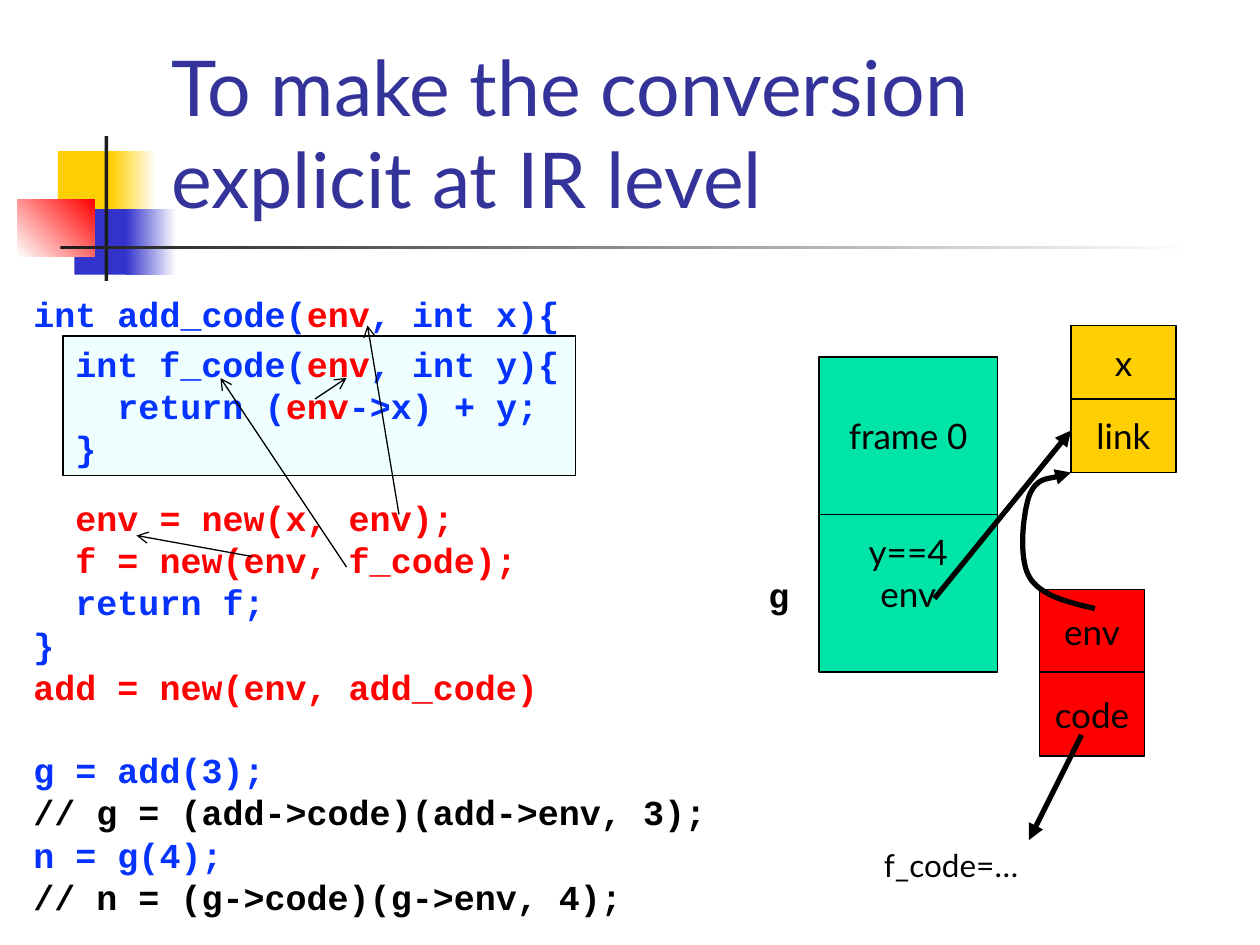
from typing import NamedTuple, Optional

import pptx
import pptx.dml.color
import pptx.enum.shapes
import pptx.enum.text
import pptx.oxml
import pptx.oxml.ns
import pptx.util
from lxml import etree

RGBColor = pptx.dml.color.RGBColor
MSO_ANCHOR = pptx.enum.text.MSO_ANCHOR
PP_ALIGN = pptx.enum.text.PP_ALIGN
qn = pptx.oxml.ns.qn

YELLOW = RGBColor(0xFF, 0xCF, 0x01)
BLUE = RGBColor(0x33, 0x33, 0xCC)
NAVY = RGBColor(0x33, 0x33, 0x99)
RED = RGBColor(0xFF, 0x00, 0x00)
GREEN = RGBColor(0x00, 0xE4, 0xA8)
CODE_BLUE = RGBColor(0x04, 0x32, 0xFF)
PALE = RGBColor(0xCC, 0xFF, 0xFF)
DARK = RGBColor(0x1C, 0x1C, 0x1C)
BLACK = RGBColor(0, 0, 0)
WHITE = RGBColor(0xFF, 0xFF, 0xFF)

SANS, MONO = "Lato", "Courier New"
COLS, ROWS = 120, 90
CELL = pptx.util.Inches(10) // COLS
LINE_GAP, LINE_PITCH = 5, 23.1  # points


class Area(NamedTuple):
    """Left, top, width and height in grid cells."""
    col: float
    row: float
    cols: float
    rows: float


class Block(NamedTuple):
    area: Area
    start: RGBColor
    end: Optional[RGBColor] = None
    angle: float = 0


class Cell(NamedTuple):
    area: Area
    fill: RGBColor
    text: str
    lift: float = 0.05  # bottom inset, inches


class Arrow(NamedTuple):
    start: tuple[float, float]
    end: tuple[float, float]
    weight: float = 0.75
    head: str = "arrow"


class CodeLine(NamedTuple):
    runs: list[tuple[str, RGBColor]]
    skipped: int = 0  # empty lines above


DECORATION = [
    Block(Area(5.52, 14.4, 5.76, 6.24), YELLOW),
    Block(Area(10.56, 14.4, 4.32, 6.24), YELLOW, WHITE),
    Block(Area(7.08, 19.92, 5.52, 6.24), BLUE),
    Block(Area(12, 19.92, 4.8, 6.24), BLUE, WHITE),
    Block(Area(1.68, 18.96, 7.32, 5.52), WHITE, RED, 45),
    Block(Area(9.96, 12.96, 0.36, 13.8), DARK),
    Block(Area(5.76, 23.4, 108, 0.36), DARK, WHITE),
]
MEMORY = [
    Cell(Area(78, 34, 17, 15), GREEN, "frame 0"),
    Cell(Area(78, 49, 17, 15), GREEN, "y==4\nenv", 0.38),
    Cell(Area(102, 31, 10, 7), YELLOW, "x"),
    Cell(Area(102, 38, 10, 7), YELLOW, "link"),
    Cell(Area(99, 56.16, 10, 8), RED, "env"),
    Cell(Area(99, 64, 10, 8), RED, "code"),
]
ARROWS = [
    Arrow((89, 57), (102, 41), 3, "triangle"),
    Arrow((103, 70), (98, 80), 3, "triangle"),
    Arrow((30, 38), (33, 36)),
    Arrow((33, 54), (21, 36)),
    Arrow((38, 49), (35, 31)),
    Arrow((24, 53), (13, 51)),
]
ENV_CURVE = [
    (104.28, 57.96), (101.76, 57.36), (99.12, 56.76), (98.04, 54.96),
    (96.96, 53.16), (97.44, 48.84), (98.04, 47.16),
    (98.76, 45.48), (101.28, 45.36), (102, 45),
]
OUTER_CODE = [
    CodeLine([("int add_code(", CODE_BLUE), ("env", RED), (", int x){", CODE_BLUE)]),
    CodeLine([("  env = new(x, env);", RED)], 4),
    CodeLine([("  f = new(env, f_code);", RED)]),
    CodeLine([("  return f;", CODE_BLUE)]),
    CodeLine([("}", CODE_BLUE)]),
    CodeLine([("add = new(env, add_code)", RED)]),
    CodeLine([("g = add(3);", CODE_BLUE)], 1),
    CodeLine([("// g = (add->code)(add->env, 3);", BLACK)]),
    CodeLine([("n = g(4);", CODE_BLUE)]),
    CodeLine([("// n = (g->code)(g->env, 4);", BLACK)]),
]
INNER_CODE = [
    CodeLine([("int f_code(", CODE_BLUE), ("env", RED), (", int y){", CODE_BLUE)]),
    CodeLine([("  return (", CODE_BLUE), ("env", RED), ("->x) + y;", CODE_BLUE)]),
    CodeLine([("}", CODE_BLUE)]),
]


def emu(*cells: float) -> list[int]:
    return [round(c * CELL) for c in cells]


def style(font, name: str, size: float, color: RGBColor, bold: bool = False) -> None:
    font.name, font.size, font.bold = name, pptx.util.Pt(size), bold
    font.color.rgb = color


def add_rect(slide, area: Area, fill: RGBColor, outlined: bool = True):
    s = slide.shapes.add_shape(pptx.enum.shapes.MSO_SHAPE.RECTANGLE, *emu(*area))
    s.shadow.inherit = False
    s.fill.solid()
    s.fill.fore_color.rgb = fill
    if outlined:
        s.line.color.rgb = BLACK
        s.line.width = pptx.util.Pt(0.75)
    else:
        s.line.fill.background()
    return s


def add_block(slide, block: Block) -> None:
    s = add_rect(slide, block.area, block.start, outlined=False)
    if block.end is not None:
        s.fill.gradient()
        s.fill.gradient_angle = block.angle
        for stop, color in zip(s.fill.gradient_stops, (block.start, block.end)):
            stop.color.rgb = color


def add_cell(slide, cell: Cell) -> None:
    tf = add_rect(slide, cell.area, cell.fill).text_frame
    tf.word_wrap = False
    tf.vertical_anchor = MSO_ANCHOR.MIDDLE
    tf.margin_bottom = pptx.util.Inches(cell.lift)
    tf.text = cell.text
    for p in tf.paragraphs:
        p.alignment = PP_ALIGN.CENTER
        for r in p.runs:
            style(r.font, SANS, 20, BLACK)


def add_label(slide, area: Area, text: str, name: str, size: float, bold: bool) -> None:
    tf = slide.shapes.add_textbox(*emu(*area)).text_frame
    tf.word_wrap = True
    tf.text = text
    style(tf.paragraphs[0].runs[0].font, name, size, BLACK, bold)


def write_code(tf, lines: list[CodeLine], spaced: bool) -> None:
    for i, line in enumerate(lines):
        p = tf.paragraphs[0] if i == 0 else tf.add_paragraph()
        p.alignment = PP_ALIGN.LEFT
        if spaced:
            p.line_spacing = 0.8
            if i:
                p.space_before = pptx.util.Pt(LINE_GAP + line.skipped * LINE_PITCH)
        for text, color in line.runs:
            r = p.add_run()
            r.text = text
            style(r.font, MONO, 20, color, True)


def finish_line(s, weight: float, head: str) -> None:
    """Set the stroke and put an arrowhead at its end."""
    s.line.color.rgb = BLACK
    s.line.width = pptx.util.Pt(weight)
    etree.SubElement(s.line._get_or_add_ln(), qn("a:tailEnd"), type=head)


def add_arrow(slide, arrow: Arrow) -> None:
    s = slide.shapes.add_connector(
        pptx.enum.shapes.MSO_CONNECTOR.STRAIGHT, *emu(*arrow.start, *arrow.end))
    finish_line(s, arrow.weight, arrow.head)
    etree.SubElement(s._element.spPr, qn("a:effectLst"))


def add_curve(slide, points: list[tuple[float, float]]) -> None:
    """Draw cubic Bézier segments; every third point lies on the curve."""
    builder = slide.shapes.build_freeform(*emu(*points[0]))
    builder.add_line_segments([tuple(emu(*pt)) for pt in points[1:]], close=False)
    s = builder.convert_to_shape()
    outline = s._element.find(".//" + qn("a:path"))
    legs = outline.findall(qn("a:lnTo"))
    for i in range(0, len(legs), 3):
        bezier = etree.SubElement(outline, qn("a:cubicBezTo"))
        for leg in legs[i:i + 3]:
            bezier.append(leg[0])
            outline.remove(leg)
    s.shadow.inherit = False
    s.fill.background()
    finish_line(s, 3, "triangle")


def main() -> None:
    prs = pptx.Presentation()
    prs.slide_width, prs.slide_height = emu(COLS, ROWS)
    slide = prs.slides.add_slide(prs.slide_layouts[5])

    title = slide.shapes.title
    title.left, title.top, title.width, title.height = emu(15.12, 2.76, 102.24, 19.2)
    tf = title.text_frame
    tf.text = "To make the conversion explicit at IR level"
    tf.auto_size = pptx.enum.text.MSO_AUTO_SIZE.NONE
    tf.vertical_anchor = MSO_ANCHOR.BOTTOM
    tf.paragraphs[0].alignment = PP_ALIGN.LEFT
    style(tf.paragraphs[0].runs[0].font, SANS, 44, NAVY)

    for block in DECORATION:
        add_block(slide, block)

    tf = slide.shapes.add_textbox(*emu(2, 28, 74, 54)).text_frame
    tf.word_wrap = True
    write_code(tf, OUTER_CODE, spaced=True)

    s = add_rect(slide, Area(6, 32, 48.84, 13.32), PALE)
    etree.SubElement(s._element.spPr.find(".//" + qn("a:srgbClr")), qn("a:alpha"), val="30000")
    s.text_frame.word_wrap = False
    s.text_frame.vertical_anchor = MSO_ANCHOR.MIDDLE
    write_code(s.text_frame, INNER_CODE, spaced=False)

    for cell in MEMORY:
        add_cell(slide, cell)
    add_label(slide, Area(72, 54, 4, 5.16), "g", MONO, 20, True)
    add_label(slide, Area(83, 80, 32, 4.8), "f_code=…", SANS, 18, False)
    for arrow in ARROWS:
        add_arrow(slide, arrow)
    add_curve(slide, ENV_CURVE)
    prs.save("out.pptx")


if __name__ == "__main__":
    main()
